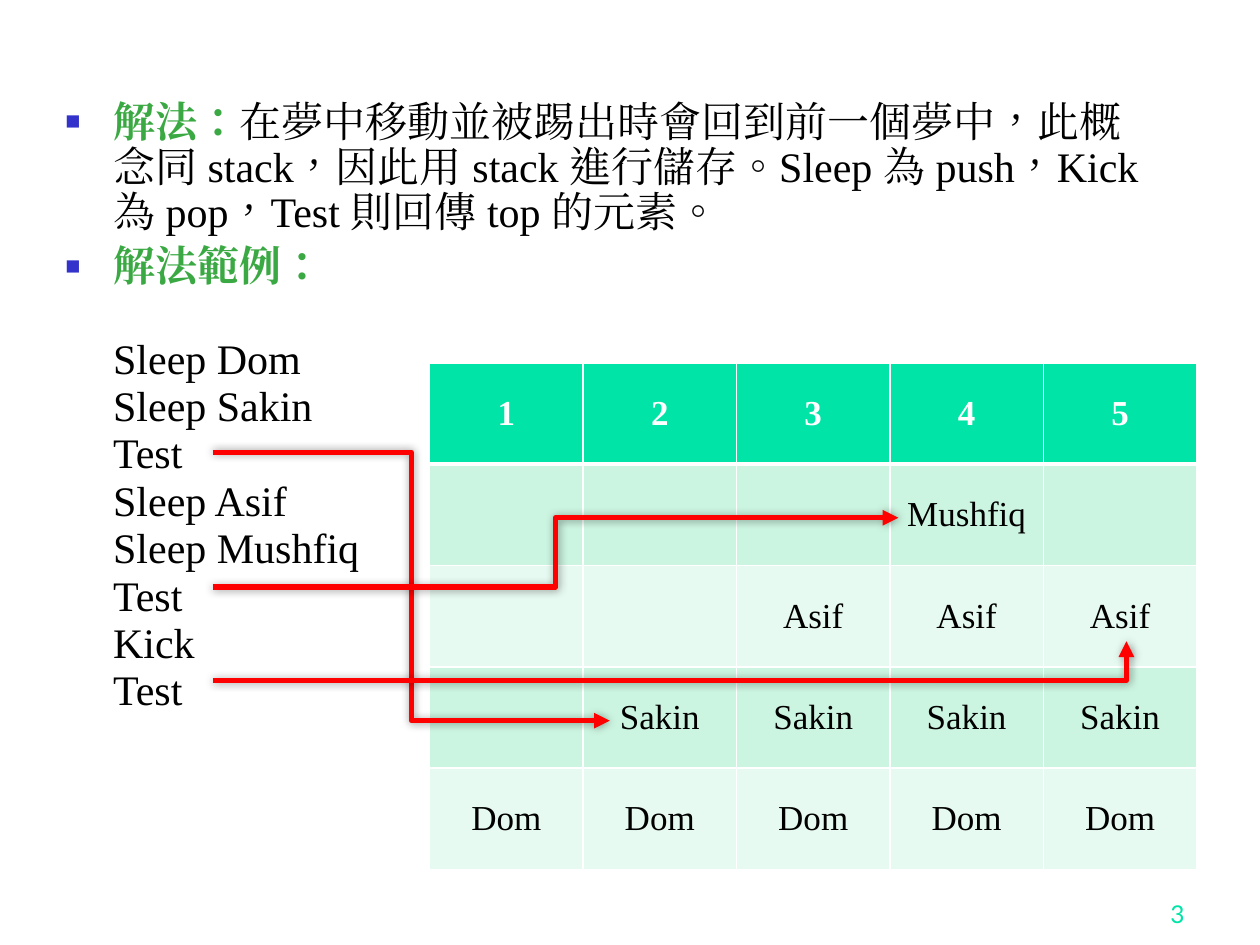
from lxml.etree import SubElement
from pptx import Presentation
from pptx.dml.color import RGBColor
from pptx.enum.shapes import MSO_CONNECTOR
from pptx.enum.text import MSO_ANCHOR, PP_ALIGN
from pptx.oxml.ns import qn
from pptx.util import Inches, Pt

COLORS = {"text": "000000", "heading": "3BA943", "bullet": "3333CC", "header": "00E4A8",
          "band_dark": "CCF5E1", "band_light": "E7FAF1", "white": "FFFFFF", "arrow": "FF0000"}
SERIF = "Times New Roman"

NOTES = [
    ("解法：", "在夢中移動並被踢出時會回到前一個夢中，此概念同 stack，因此用 stack 進行儲存。"
             "Sleep 為 push，Kick 為 pop，Test 則回傳 top 的元素。"),
    ("解法範例：", ""),
]
COMMANDS = ["Sleep Dom", "Sleep Sakin", "Test", "Sleep Asif",
            "Sleep Mushfiq", "Test", "Kick", "Test"]
STACKS = [
    ["1", "2", "3", "4", "5"],
    ["", "", "", "Mushfiq", ""],
    ["", "", "Asif", "Asif", "Asif"],
    ["", "Sakin", "Sakin", "Sakin", "Sakin"],
    ["Dom", "Dom", "Dom", "Dom", "Dom"],
]
# start x, start y, end x, end y, position of the bend along the width
ARROWS = [
    (1.69, 3.59, 4.84, 5.72, 0.5),
    (1.69, 4.66, 7.13, 4.11, 0.5),
    (1.69, 5.40, 8.94, 5.09, 1.0),
]


def style_font(font, size, color, bold=False, name=SERIF):
    font.name, font.size, font.bold = name, Pt(size), bold
    font.color.rgb = RGBColor.from_string(COLORS[color])


def add_span(para, text, color, bold=False):
    span = para.add_run()
    span.text = text
    style_font(span.font, 24, color, bold)
    properties = span._r.get_or_add_rPr()
    properties.set("lang", "zh-TW")
    SubElement(properties, qn("a:ea"), typeface=SERIF)


def set_indent(para, bullet):
    properties = para._p.get_or_add_pPr()
    properties.set("marL", str(Inches(0.38)))
    properties.set("indent", str(Inches(-0.38 if bullet else 0)))
    if bullet:
        color = SubElement(properties, qn("a:buClr"))
        SubElement(color, qn("a:srgbClr"), val=COLORS["bullet"])
        SubElement(properties, qn("a:buSzPct"), val="60000")
        SubElement(properties, qn("a:buFont"), typeface="Arial")
        SubElement(properties, qn("a:buChar"), char="■")


def add_notes(page):
    box = page.shapes.add_textbox(Inches(0.42), Inches(0.75), Inches(8.83), Inches(6.15))
    frame = box.text_frame
    frame.word_wrap = True
    for index, (heading, body) in enumerate(NOTES):
        para = frame.add_paragraph() if index else frame.paragraphs[0]
        set_indent(para, bullet=True)
        para.line_spacing = 0.9
        para.space_before = Pt(5 if index else 0)
        add_span(para, heading, "heading", bold=True)
        if body:
            add_span(para, body, "text")
    para = frame.add_paragraph()
    set_indent(para, bullet=False)
    para.line_spacing = 0.94
    para.space_before = Pt(26)
    for index, command in enumerate(COMMANDS):
        if index:
            para.add_line_break()
        add_span(para, command, "text")


def add_border(cell, side, width):
    line = SubElement(cell._tc.get_or_add_tcPr(), qn(f"a:ln{side}"), w=str(Pt(width)))
    fill = SubElement(line, qn("a:solidFill"))
    SubElement(fill, qn("a:srgbClr"), val=COLORS["white"])


def add_stack_table(page):
    size = len(STACKS)
    table = page.shapes.add_table(size, size, Inches(3.41), Inches(2.88),
                                  Inches(6.09), Inches(4.02)).table
    table.first_row = table.horz_banding = False
    for row, names in enumerate(STACKS):
        background = "header" if row == 0 else ("band_light", "band_dark")[row % 2]
        for column, name in enumerate(names):
            cell = table.cell(row, column)
            for side in "LRTB":
                under_header = (row, side) in ((0, "B"), (1, "T"))
                add_border(cell, side, 3 if under_header else 1)
            cell.fill.solid()
            cell.fill.fore_color.rgb = RGBColor.from_string(COLORS[background])
            cell.vertical_anchor = MSO_ANCHOR.MIDDLE
            para = cell.text_frame.paragraphs[0]
            para.text = name
            para.alignment = PP_ALIGN.CENTER
            style_font(para.font, 20, "text" if row else "white", bold=row == 0)
            for span in para.runs:
                style_font(span.font, 20, "text" if row else "white", bold=row == 0)


def add_arrow(page, start_x, start_y, end_x, end_y, bend):
    arrow = page.shapes.add_connector(MSO_CONNECTOR.ELBOW, Inches(start_x), Inches(start_y),
                                      Inches(end_x), Inches(end_y))
    arrow.line.color.rgb = RGBColor.from_string(COLORS["arrow"])
    arrow.line.width = Pt(3)
    SubElement(arrow.line._get_or_add_ln(), qn("a:tailEnd"), type="triangle")
    properties = arrow._element.spPr
    guides = properties.find(qn("a:prstGeom")).find(qn("a:avLst"))
    SubElement(guides, qn("a:gd"), name="adj1", fmla=f"val {round(bend * 100000)}")
    effects = SubElement(properties, qn("a:effectLst"))
    shadow = SubElement(effects, qn("a:outerShdw"), blurRad=str(Pt(5)), dist="0", dir="0")
    color = SubElement(shadow, qn("a:srgbClr"), val=COLORS["text"])
    SubElement(color, qn("a:alpha"), val="40000")


def add_page_number(page):
    box = page.shapes.add_textbox(Inches(7.42), Inches(6.92), Inches(2.08), Inches(0.5))
    box.text_frame.word_wrap = True
    box.text_frame.vertical_anchor = MSO_ANCHOR.BOTTOM
    para = box.text_frame.paragraphs[0]
    para.text = "3"
    para.alignment = PP_ALIGN.RIGHT
    style_font(para.runs[0].font, 14, "header", name="Lato")


def main():
    deck = Presentation()
    deck.slide_width, deck.slide_height = Inches(10), Inches(7.5)
    page = deck.slides.add_slide(deck.slide_layouts[6])
    add_page_number(page)
    add_notes(page)
    add_stack_table(page)
    for arrow in ARROWS:
        add_arrow(page, *arrow)
    deck.save("out.pptx")


if __name__ == "__main__":
    main()
